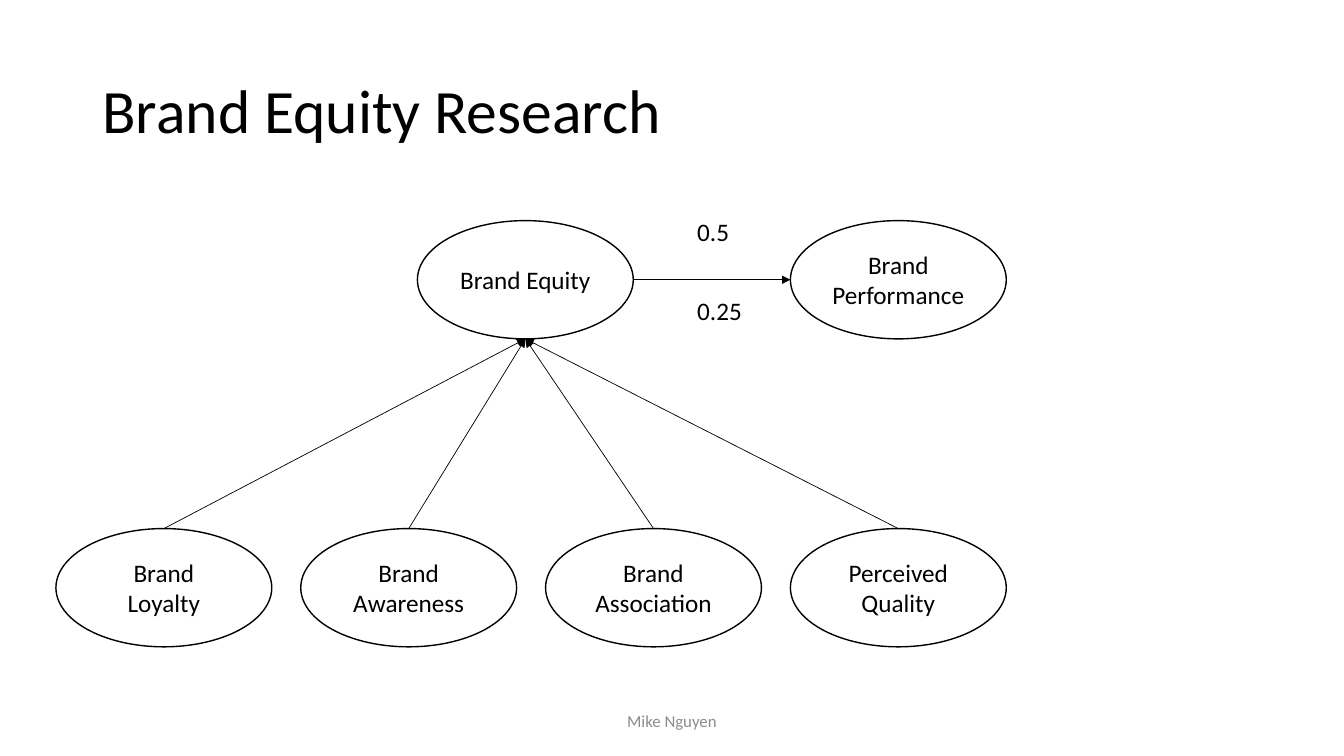
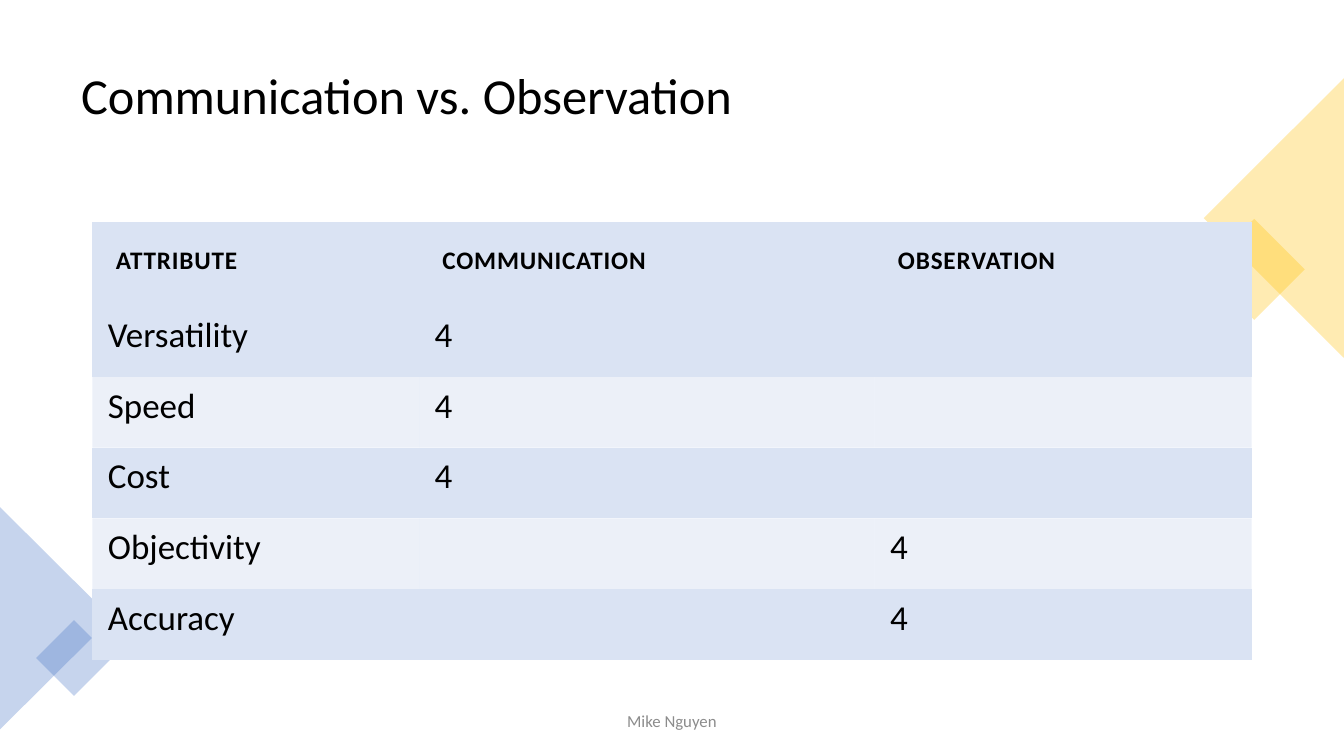
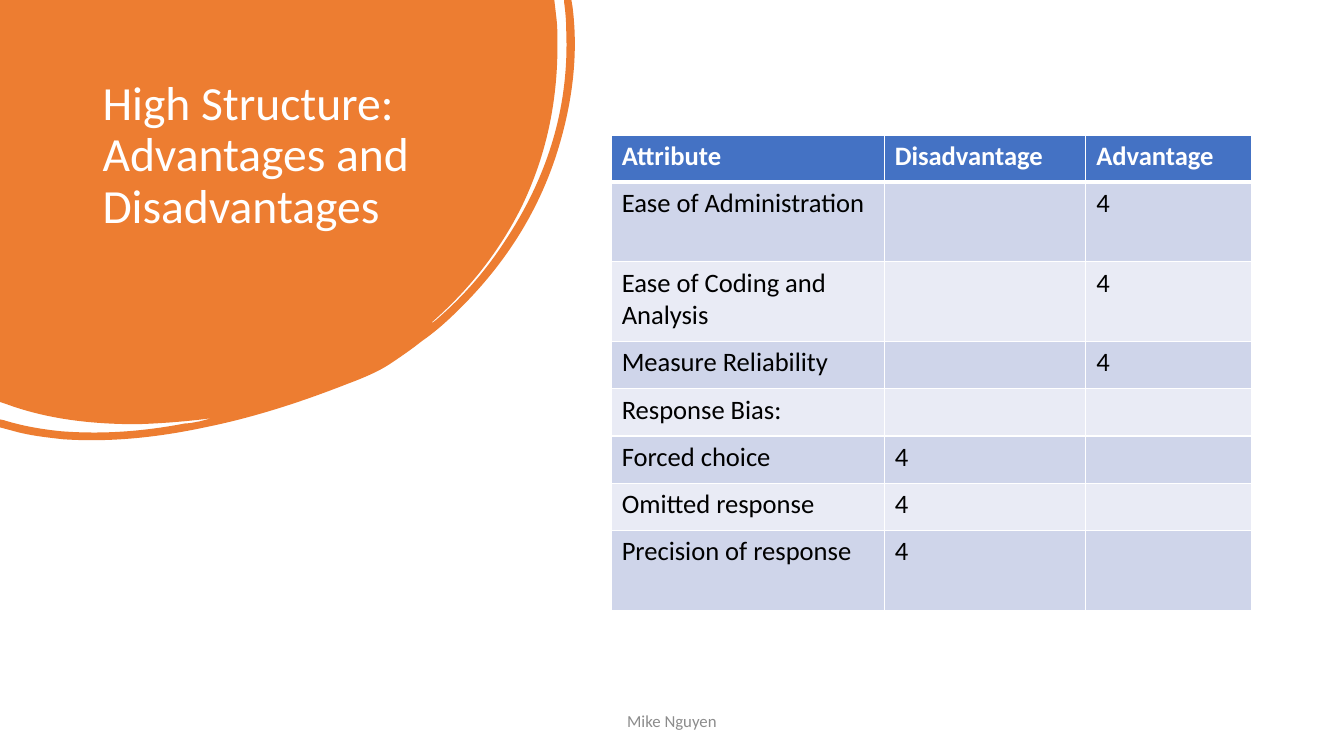
import pptx
import pptx.dml.color
import pptx.enum.shapes
import pptx.enum.text
import pptx.oxml
import pptx.oxml.ns
import pptx.util

Cm = pptx.util.Cm
Pt = pptx.util.Pt
qn = pptx.oxml.ns.qn
SHAPE = pptx.enum.shapes.MSO_SHAPE
ALIGN = pptx.enum.text.PP_ALIGN
ANCHOR = pptx.enum.text.MSO_ANCHOR

FONT = "Calibri"
COLORS = {
    "text": "000000",
    "white": "FFFFFF",
    "footer": "8C8C8C",
    "blue": "4472C4",
    "gold": "FFC000",
    "orange": "ED7D31",
    "pale": "DAE3F3",
    "band": "CFD5EA",
    "light_band": "E9EBF5",
}
NO_STYLE_TABLE = "{2D5ABB26-0587-4C30-8999-92F81FD0307C}"
MARK = "4"

# Outline in cm: two numbers are a line, six are a Bezier curve
BLOB_SIZE = (14.5, 11.1)
BLOB_OUTLINE = [
    (13.97, 0), (14.02, 0.43),
    (14.05, 0.66, 14.05, 0.91, 14.05, 1.14),
    (14.05, 2.57, 13.77, 3.91, 13.16, 5.18),
    (12.6, 6.32, 11.81, 7.32, 10.85, 8.15),
    (10.9, 8.15, 10.92, 8.1, 10.97, 8.08),
    (11.66, 7.49, 12.24, 6.83, 12.73, 6.07),
    (13.79, 4.47, 14.35, 2.72, 14.27, 0.76),
    (14.27, 0.53, 14.25, 0.3, 14.22, 0.08),
    (14.22, 0), (14.4, 0), (14.43, 0.18),
    (14.58, 1.37, 14.43, 2.59, 14.05, 3.81),
    (13.54, 5.44, 12.62, 6.81, 11.38, 7.98),
    (11.15, 8.2, 10.9, 8.41, 10.64, 8.59),
    (10.39, 8.79, 10.13, 8.97, 9.83, 9.17),
    (9.53, 9.37, 9.14, 9.53, 8.74, 9.68),
    (7.59, 10.13, 6.4, 10.52, 5.16, 10.77),
    (3.99, 11.02, 2.79, 11.15, 1.6, 11.07),
    (1.14, 11.02, 0.71, 10.97, 0.3, 10.85),
    (0, 10.77), (0, 10.57), (0.1, 10.59),
    (0.58, 10.74, 1.07, 10.82, 1.55, 10.87),
    (2.62, 10.95, 3.63, 10.87, 4.67, 10.67),
    (4.8, 10.67, 4.9, 10.64, 5.03, 10.62),
    (5.13, 10.59, 5.23, 10.57, 5.33, 10.54),
    (4.72, 10.62, 4.09, 10.67, 3.45, 10.69),
    (2.34, 10.69, 1.22, 10.57, 0.18, 10.19),
    (0, 10.13),
]


def rgb(name):
    return pptx.dml.color.RGBColor.from_string(COLORS[name])


def drawing(tag, attributes="", content=""):
    """DrawingML element."""
    return pptx.oxml.parse_xml(
        f'<a:{tag} {pptx.oxml.ns.nsdecls("a")} {attributes}>{content}</a:{tag}>')


def place(shape, box):
    shape.left, shape.top, shape.width, shape.height = map(Cm, box)


def set_text(frame, text, size, color="text", align=ALIGN.LEFT, bold=False):
    frame.text = text
    frame.word_wrap = True
    for paragraph in frame.paragraphs:
        paragraph.alignment = align
        for run in paragraph.runs:
            run.font.name = FONT
            run.font.size = Pt(size)
            run.font.bold = bold
            run.font.color.rgb = rgb(color)


def fill_solid(shape, color):
    shape.shadow.inherit = False
    shape.fill.solid()
    shape.fill.fore_color.rgb = rgb(color)
    shape.line.fill.background()


def set_opacity(properties, percent):
    fill_color = properties.find(f'{qn("a:solidFill")}/{qn("a:srgbClr")}')
    fill_color.append(drawing("alpha", f'val="{percent * 1000}"'))


def add_label(slide, box, text, size, **style):
    label = slide.shapes.add_textbox(*map(Cm, box))
    set_text(label.text_frame, text, size, **style)
    return label


def add_slide(deck, title, box, size, color="text", anchor=ANCHOR.MIDDLE):
    """New slide with the shared title style and footer."""
    slide = deck.slides.add_slide(deck.slide_layouts[5])
    heading = slide.shapes.title
    place(heading, box)
    set_text(heading.text_frame, title, size, color)
    heading.text_frame.auto_size = pptx.enum.text.MSO_AUTO_SIZE.NONE
    heading.text_frame.vertical_anchor = anchor
    heading.text_frame.paragraphs[0].line_spacing = 0.9
    footer = add_label(slide, (11.22, 17.65, 11.43, 1.02), "Mike Nguyen", 12,
                       color="footer", align=ALIGN.CENTER)
    footer.text_frame.vertical_anchor = ANCHOR.MIDDLE
    return slide


def add_concept(slide, left, top, text):
    concept = slide.shapes.add_shape(
        SHAPE.OVAL, Cm(left), Cm(top), Cm(5.44), Cm(2.98))
    fill_solid(concept, "white")
    concept.line.color.rgb = rgb("text")
    concept.line.width = Pt(1)
    frame = concept.text_frame
    set_text(frame, text, 18, align=ALIGN.CENTER)
    frame.vertical_anchor = ANCHOR.MIDDLE
    frame.margin_left = frame.margin_right = Cm(0.23)
    return concept


def add_arrow(slide, start, end):
    arrow = slide.shapes.add_connector(
        pptx.enum.shapes.MSO_CONNECTOR.STRAIGHT, *start, *end)
    arrow.line.color.rgb = rgb("text")
    arrow.line.width = Pt(0.5)
    arrow.line._get_or_add_ln().append(drawing("tailEnd", 'type="triangle"'))
    arrow._element.spPr.append(drawing("effectLst"))


def add_accent(slide, kind, box, rotation, color):
    accent = slide.shapes.add_shape(kind, *map(Cm, box))
    accent.rotation = rotation
    fill_solid(accent, color)
    set_opacity(accent._element.spPr, 30)


def add_grid(slide, left, top, widths, heights, rows, header, body, bands):
    """Table; header and body give size, colour, bold, margins and spacing."""
    table = slide.shapes.add_table(
        len(rows), len(widths), Cm(left), Cm(top),
        Cm(sum(widths)), Cm(sum(heights))).table
    for column, width in zip(table.columns, widths):
        column.width = Cm(width)
    for index, (row, height) in enumerate(zip(rows, heights)):
        table.rows[index].height = Cm(height)
        style = body if index else header
        fill = bands[(index - 1) % 2] if index else header["fill"]
        for cell, text in zip(table.rows[index].cells, row):
            cell.fill.solid()
            cell.fill.fore_color.rgb = rgb(fill)
            if not text:
                continue
            (cell.margin_left, cell.margin_top,
             cell.margin_right, cell.margin_bottom) = map(Cm, style["margins"])
            set_text(cell.text_frame, text, style["size"], style["color"],
                     bold=style["bold"])
            if "spacing" in style:
                run = cell.text_frame.paragraphs[0].runs[0]
                run.font._element.set("spc", str(style["spacing"]))
    return table


def add_blob(slide):
    builder = slide.shapes.build_freeform(0, 0, scale=1.0)
    builder.add_line_segments(
        [(Cm(segment[-2]), Cm(segment[-1])) for segment in BLOB_OUTLINE],
        close=True)
    blob = builder.convert_to_shape()
    fill_solid(blob, "orange")
    # Bend the curved segments
    outline = blob._element.spPr.find(f'.//{qn("a:path")}')
    for line, segment in zip(outline.findall(qn("a:lnTo")), BLOB_OUTLINE):
        if len(segment) == 6:
            points = "".join(
                f'<a:pt x="{Cm(x)}" y="{Cm(y)}"/>'
                for x, y in zip(segment[::2], segment[1::2]))
            outline.replace(line, drawing("cubicBezTo", content=points))
    blob.width, blob.height = map(Cm, BLOB_SIZE)
    outline.set("w", str(blob.width))
    outline.set("h", str(blob.height))
    # Behind the title
    slide.shapes.title._element.addprevious(blob._element)


def build_equity(deck):
    slide = add_slide(deck, "Brand Equity Research",
                      (2.33, 1.02, 29.21, 3.68), 44)
    equity = add_concept(slide, 10.52, 5.56, "Brand Equity")
    performance = add_concept(slide, 19.92, 5.56, "Brand Performance")
    equity_bottom = (equity.left + equity.width // 2, equity.top + equity.height)
    drivers = ["Brand Loyalty", "Brand Awareness",
               "Brand Association", "Perceived Quality"]
    for index, name in enumerate(drivers):
        driver = add_concept(slide, 1.41 + 6.17 * index, 13.32, name)
        add_arrow(slide, (driver.left + driver.width // 2, driver.top),
                  equity_bottom)
    middle = equity.top + equity.height // 2
    add_arrow(slide, (equity.left + equity.width, middle),
              (performance.left, middle))
    for top, weight in [(5.33, "0.5"), (7.32, "0.25")]:
        add_label(slide, (17.32, top, 1.78, 1.02), weight, 18)


def build_communication(deck):
    slide = add_slide(deck, "Communication vs. Observation",
                      (1.79, 0.89, 30.3, 3.15), 36)
    # Corner accents
    for kind, box, rotation, color in [
        (SHAPE.RECTANGLE, (30.71, 5.89, 1.8, 1.8), 45, "gold"),
        (SHAPE.ISOSCELES_TRIANGLE, (28.58, 3.73, 7.04, 3.53), 270, "gold"),
        (SHAPE.ISOSCELES_TRIANGLE, (-1.4, 14.17, 5.61, 2.82), 90, "blue"),
        (SHAPE.RECTANGLE, (1.19, 15.91, 1.35, 1.35), 45, "blue"),
    ]:
        add_accent(slide, kind, box, rotation, color)
    rows = [
        ("ATTRIBUTE", "COMMUNICATION", "OBSERVATION"),
        ("Versatility", MARK, ""),
        ("Speed", MARK, ""),
        ("Cost", MARK, ""),
        ("Objectivity", "", MARK),
        ("Accuracy", "", MARK),
    ]
    header = {"size": 18, "color": "text", "bold": True, "fill": "pale",
              "margins": (0.59, 0.59, 0.59, 0.59), "spacing": 60}
    body = {"size": 25, "color": "text", "bold": False,
            "margins": (0.39, 0.2, 0.39, 0.39)}
    table = add_grid(slide, 2.33, 5.59, (8.23, 11.48, 9.5),
                     [2.13] + [1.78] * 5, rows, header, body,
                     ("pale", "pale"))
    # Plain table without rules, every second body row half transparent
    table._tbl.tblPr.find(qn("a:tableStyleId")).text = NO_STYLE_TABLE
    for index in range(2, len(rows), 2):
        for cell in table.rows[index].cells:
            set_opacity(cell._tc.tcPr, 50)


def build_structure(deck):
    slide = add_slide(deck, "High Structure: Advantages and Disadvantages",
                      (2.33, 1.87, 8.94, 5.64), 34, "white", ANCHOR.TOP)
    add_blob(slide)
    rows = [
        ("Attribute", "Disadvantage", "Advantage"),
        ("Ease of Administration", "", MARK),
        ("Ease of Coding and Analysis", "", MARK),
        ("Measure Reliability", "", MARK),
        ("Response Bias:", "", ""),
        ("Forced choice", MARK, ""),
        ("Omitted response", MARK, ""),
        ("Precision of response", MARK, ""),
    ]
    margins = (0.27, 0.13, 0.27, 0.13)
    header = {"size": 19, "color": "white", "bold": True, "fill": "blue",
              "margins": margins}
    body = {"size": 19, "color": "text", "bold": False, "margins": margins}
    low, high = 1.19, 2.01
    table = add_grid(slide, 15.4, 3.4, (6.88, 5.08, 4.17),
                     [low, high, high, low, low, low, low, high], rows,
                     header, body, ("band", "light_band"))
    # White rules, thicker below the header
    white = f'<a:solidFill><a:srgbClr val="{COLORS["white"]}"/></a:solidFill>'
    for index in range(len(rows)):
        widths = {"lnL": 1, "lnR": 1, "lnT": 3 if index == 1 else 1,
                  "lnB": 1 if index else 3}
        for cell in table.rows[index].cells:
            for position, (side, width) in enumerate(widths.items()):
                cell._tc.tcPr.insert(
                    position, drawing(side, f'w="{Pt(width)}"', white))


def main():
    deck = pptx.Presentation()
    deck.slide_width, deck.slide_height = Cm(33.87), Cm(19.05)
    build_equity(deck)
    build_communication(deck)
    build_structure(deck)
    deck.save("out.pptx")


if __name__ == "__main__":
    main()
